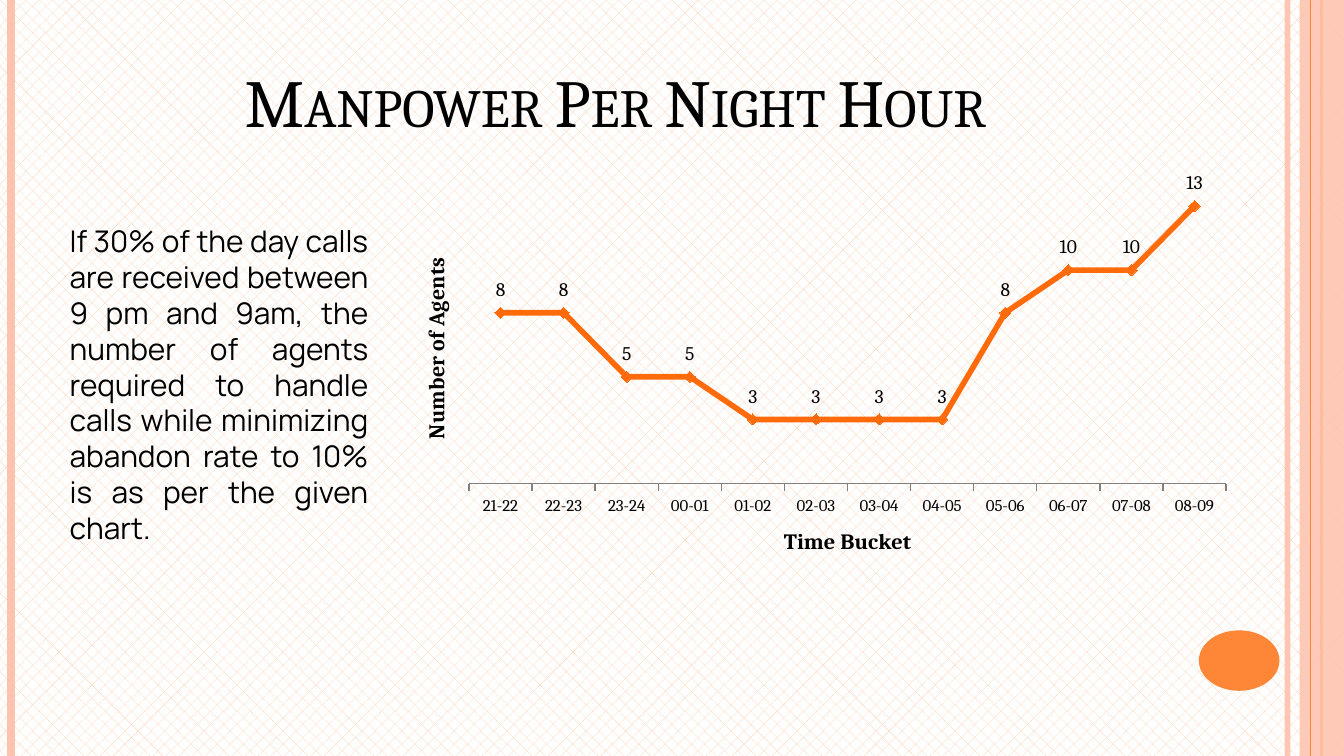
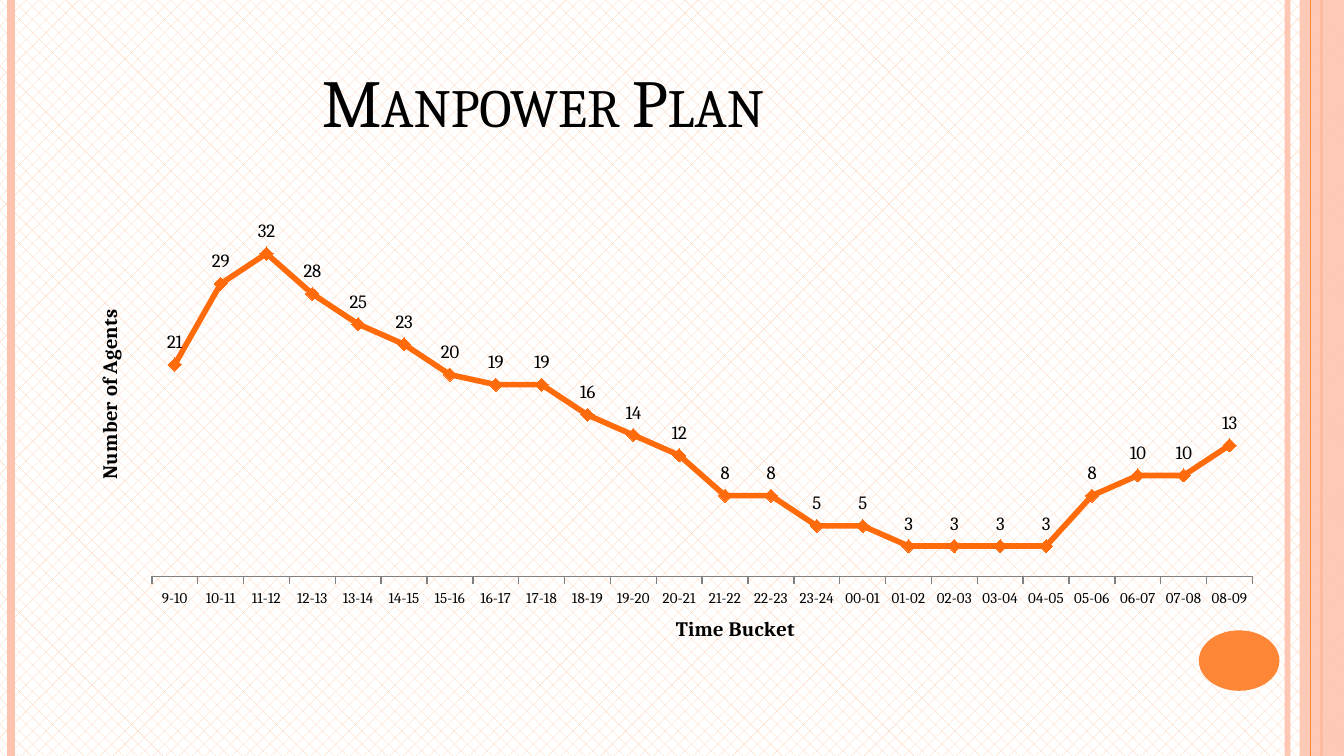
import pptx
import pptx.chart.data
import pptx.dml.color
import pptx.enum.chart
import pptx.enum.dml
import pptx.enum.shapes
import pptx.enum.text
import pptx.oxml
import pptx.oxml.ns
import pptx.util

Inches = pptx.util.Inches
Pt = pptx.util.Pt
SLIDE_WIDTH = 10
SLIDE_HEIGHT = SLIDE_WIDTH * 9 / 16
ORANGE, PINK, PEACH = "FE8637", "FEC3AE", "FFCFAF"
SERIES_ORANGE, AXIS_GREY, BLACK, WHITE = "FF6A0B", "808080", "000000", "FFFFFF"
SERIF, SANS = "Cambria", "Manrope"


def color(hex_string):
    """Turn a hex string into a colour."""
    return pptx.dml.color.RGBColor.from_string(hex_string)


def set_layout(parent, position, values, inner=False):
    """Give a chart part a manual layout; values maps x, y, w, h to fractions."""
    for old_layout in parent.findall(pptx.oxml.ns.qn("c:layout")):
        parent.remove(old_layout)
    target = '<c:layoutTarget val="inner"/>' if inner else ""
    modes = "".join(f'<c:{key}Mode val="edge"/>' for key in "xy")
    sizes = "".join(f'<c:{key} val="{value}"/>' for key, value in values.items())
    layout = pptx.oxml.parse_xml(
        f'<c:layout {pptx.oxml.ns.nsdecls("c")}><c:manualLayout>'
        f"{target}{modes}{sizes}</c:manualLayout></c:layout>")
    parent.insert(position, layout)


presentation = pptx.Presentation()
presentation.slide_width = Inches(SLIDE_WIDTH)
presentation.slide_height = Inches(SLIDE_HEIGHT)
title_only = presentation.slide_layouts[5]
master = presentation.slide_master

# Master background
background = master.background.fill
background.patterned()
background.pattern = pptx.enum.dml.MSO_PATTERN.PERCENT_30
background.fore_color.rgb = color(PEACH)
background.back_color.rgb = color(WHITE)

night_slide = presentation.slides.add_slide(title_only)
plan_slide = presentation.slides.add_slide(title_only)

# Bands and disc, drawn once and moved to the master: x, colour, width, opacity
decorations = []
rules = [(9.58, PINK, 3, 93), (0.08, PINK, 4.5, 100),
         (9.83, ORANGE, 1.5, 100), (9.75, ORANGE, 0.75, 100)]
for x, rule_color, width, opacity in rules:
    rule = night_slide.shapes.add_connector(
        pptx.enum.shapes.MSO_CONNECTOR.STRAIGHT,
        Inches(x), Inches(0), Inches(x), Inches(SLIDE_HEIGHT))
    rule.line.color.rgb = color(rule_color)
    rule.line.width = Pt(width)
    rule.element.spPr.append(pptx.oxml.parse_xml(
        f'<a:effectLst {pptx.oxml.ns.nsdecls("a")}/>'))
    decorations.append((rule, opacity))

SHAPE = pptx.enum.shapes.MSO_SHAPE
blocks = [(SHAPE.RECTANGLE, 9.67, 0, 0.33, SLIDE_HEIGHT, PINK, 87),
          (SHAPE.OVAL, 8.92, 4.69, 0.6, 0.45, ORANGE, 100)]
for kind, left, top, width, height, fill_color, opacity in blocks:
    block = night_slide.shapes.add_shape(
        kind, Inches(left), Inches(top), Inches(width), Inches(height))
    block.shadow.inherit = False
    block.fill.solid()
    block.fill.fore_color.rgb = color(fill_color)
    block.line.fill.background()
    decorations.append((block, opacity))

# The right band lies below the thin orange rule at its left edge
decorations.insert(3, decorations.pop(4))
master_tree = master.shapes[0].element.getparent()
for index, (decoration, opacity) in enumerate(decorations):
    if opacity < 100:
        tint = decoration.element.spPr.xpath(".//a:srgbClr")[0]
        tint.append(pptx.oxml.parse_xml(
            f'<a:alpha {pptx.oxml.ns.nsdecls("a")} val="{opacity * 1000}"/>'))
    decoration.element.xpath(".//p:cNvPr")[0].set("id", str(100 + index))
    master_tree.insert(2 + index, decoration.element)

# Slide contents
night_hours = [f"{hour % 24:02d}-{(hour + 1) % 24:02d}" for hour in range(21, 33)]
night_hours[2] = "23-24"
day_hours = [f"{hour}-{hour + 1}" for hour in range(9, 21)]
night_agents = [8, 8, 5, 5, 3, 3, 3, 3, 8, 10, 10, 13]
day_agents = [21, 29, 32, 28, 25, 23, 20, 19, 19, 16, 14, 12]

pages = [
    dict(slide=night_slide, title="Manpower Per Night Hour", title_width=8,
         box=(2.92, 1.28, 6.33, 3.07), hours=night_hours, agents=night_agents,
         maximum=14, plot=dict(x=0.09, y=0.01, w=0.89, h=0.74),
         agent_title=dict(x=0.03, y=0.19), hour_title=None,
         title_size=12, tick_size=9, label_size=10.5, marker_size=6),
    dict(slide=plan_slide, title="Manpower Plan", title_width=6.92,
         box=(0.5, 1.23, 9, 3.6), hours=day_hours + night_hours,
         agents=day_agents + night_agents,
         maximum=35, plot=dict(x=0.07, y=0.12, w=0.91, h=0.73),
         agent_title=dict(x=0.02, y=0.29), hour_title=dict(x=0.5, y=0.92),
         title_size=11, tick_size=8, label_size=10, marker_size=7),
]

for page in pages:
    slide = page["slide"]
    title = slide.shapes.title
    title.left, title.top = Inches(0.58), Inches(0.15)
    title.width, title.height = Inches(page["title_width"]), Inches(1)
    frame = title.text_frame
    frame.vertical_anchor = pptx.enum.text.MSO_ANCHOR.BOTTOM
    frame.margin_left = frame.margin_right = Inches(0.1)
    frame.margin_top = frame.margin_bottom = Inches(0.1)
    paragraph = frame.paragraphs[0]
    paragraph.alignment = pptx.enum.text.PP_ALIGN.CENTER
    run = paragraph.add_run()
    run.text = page["title"]
    run.font.name, run.font.size = SERIF, Pt(36)
    run.font.color.rgb = color(BLACK)
    run.font._element.set("cap", "small")

    data = pptx.chart.data.CategoryChartData(number_format="0")
    data.categories = page["hours"]
    data.add_series("Series 1", page["agents"])
    chart = slide.shapes.add_chart(
        pptx.enum.chart.XL_CHART_TYPE.LINE_MARKERS,
        *[Inches(length) for length in page["box"]], data).chart
    chart.has_legend = False
    chart.has_title = False
    chart.font.name, chart.font.size = SERIF, Pt(18)
    chart.font.color.rgb = color(BLACK)

    hour_axis, agent_axis = chart.category_axis, chart.value_axis
    TICK = pptx.enum.chart.XL_TICK_MARK
    hour_axis.major_tick_mark = TICK.OUTSIDE
    hour_axis.minor_tick_mark = TICK.NONE
    hour_axis.has_major_gridlines = False
    hour_axis.tick_labels.font.size = Pt(page["tick_size"])
    hour_axis.format.line.color.rgb = color(AXIS_GREY)
    agent_axis.minimum_scale, agent_axis.maximum_scale = 0, page["maximum"]
    agent_axis.has_major_gridlines = False
    agent_axis.tick_labels.number_format = "0"
    agent_axis.tick_labels.number_format_is_linked = False
    captions = [(hour_axis, "Time Bucket", page["hour_title"]),
                (agent_axis, "Number of Agents", page["agent_title"])]
    for axis, caption, place in captions:
        run = axis.axis_title.text_frame.paragraphs[0].add_run()
        run.text = caption
        run.font.name, run.font.size = SERIF, Pt(page["title_size"])
        run.font.bold = True
        run.font.color.rgb = color(BLACK)
        if place:
            set_layout(axis.axis_title._element, 1, place)
    turned = agent_axis.axis_title._element.xpath(".//a:bodyPr")[0]
    turned.set("rot", "-5400000")
    turned.set("vert", "horz")
    agent_axis.visible = False
    set_layout(chart._chartSpace.chart.plotArea, 0, page["plot"], inner=True)

    plot = chart.plots[0]
    plot.vary_by_categories = False
    series = plot.series[0]
    series.smooth = False
    series.format.line.color.rgb = color(SERIES_ORANGE)
    series.format.line.width = Pt(3)
    marker = series.marker
    marker.style = pptx.enum.chart.XL_MARKER_STYLE.DIAMOND
    marker.size = page["marker_size"]
    marker.format.fill.solid()
    marker.format.fill.fore_color.rgb = color(SERIES_ORANGE)
    marker.format.line.color.rgb = color(SERIES_ORANGE)
    labels = series.data_labels
    labels.show_value = True
    labels.position = pptx.enum.chart.XL_LABEL_POSITION.ABOVE
    labels.number_format, labels.number_format_is_linked = "0", False
    labels.font.name, labels.font.size = SERIF, Pt(page["label_size"])
    labels.font.color.rgb = color(BLACK)

# Explanation beside the night chart
note = night_slide.shapes.add_textbox(
    Inches(0.42), Inches(1.56), Inches(2.42), Inches(3.67))
frame = note.text_frame
frame.word_wrap = True
frame.margin_left = frame.margin_right = Inches(0.1)
frame.margin_top = frame.margin_bottom = Inches(0.1)
paragraph = frame.paragraphs[0]
paragraph.alignment = pptx.enum.text.PP_ALIGN.JUSTIFY
run = paragraph.add_run()
run.text = ("If 30% of the day calls are received between 9 pm and 9am, "
            "the number of agents required to handle calls while minimizing "
            "abandon rate to 10% is as per the given chart.")
run.font.name, run.font.size = SANS, Pt(16)
run.font.color.rgb = color(BLACK)

presentation.save("out.pptx")
